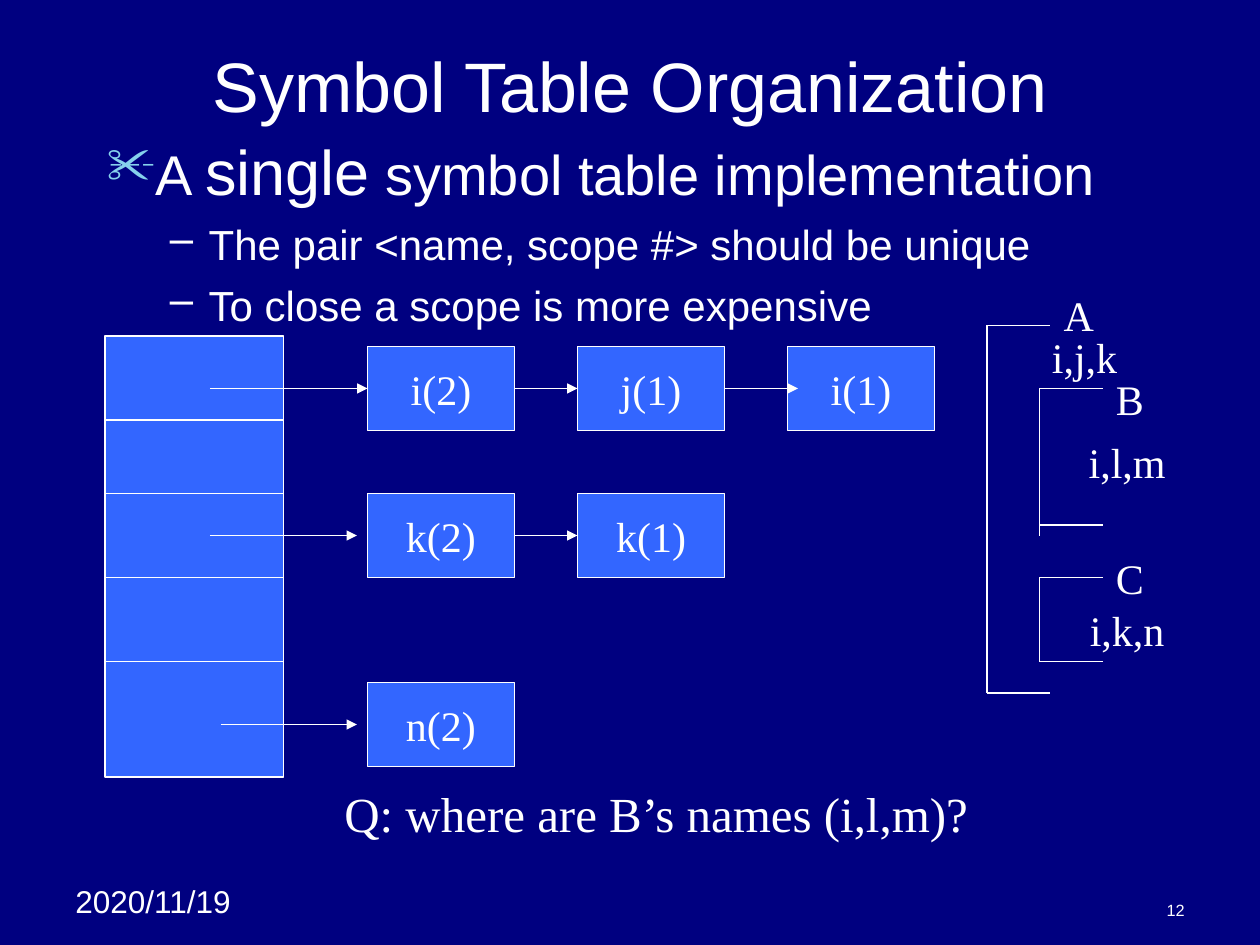
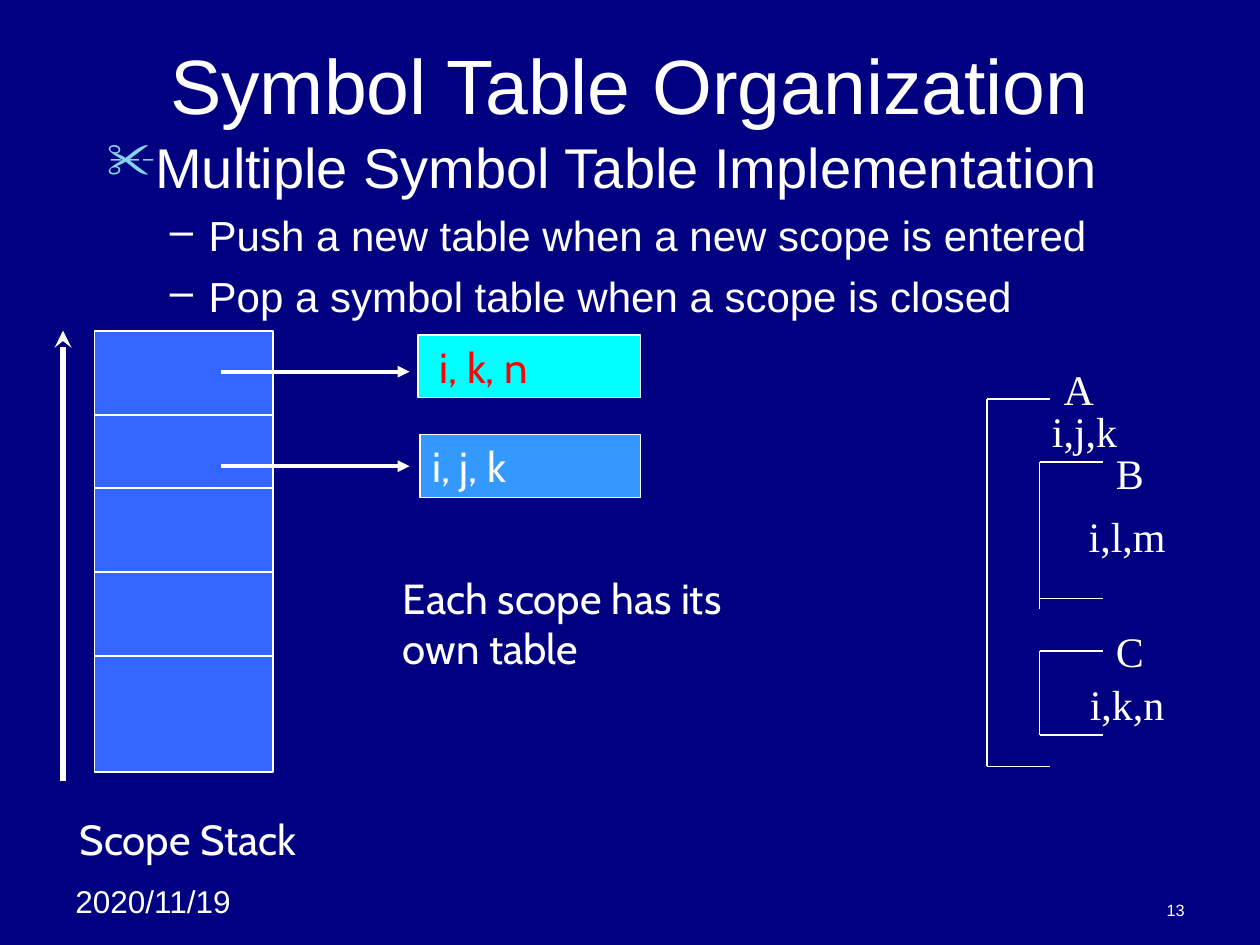
from dataclasses import dataclass
from typing import NamedTuple, Optional

import lxml.etree
import pptx
import pptx.dml.color
import pptx.enum.shapes
import pptx.enum.text
import pptx.oxml.ns
import pptx.shapes.autoshape
import pptx.slide
import pptx.util

SCALE = 7620
ALIGN = pptx.enum.text.PP_ALIGN
ANCHOR = pptx.enum.text.MSO_ANCHOR
Shape = pptx.shapes.autoshape.Shape
Slide = pptx.slide.Slide


@dataclass(frozen=True)
class Theme:
    back: str = "000080"
    ink: str = "FFFFFF"
    cell: str = "3366FF"
    aqua: str = "00FFFF"
    sky: str = "3399FF"
    red: str = "FF0000"
    mark: str = "86D1EC"
    sans: str = "Arial"
    serif: str = "Times New Roman"
    hand: str = "Cabin"
    head: int = 32
    large: int = 36
    ask: int = 28
    base: int = 24
    date: int = 18
    page: float = 9.3
    thin: float = 0.75
    line: float = 1
    bold: float = 2.25
    thick: float = 3.25


THEME = Theme()


class Rect(NamedTuple):
    left: int
    top: int
    width: int
    height: int


class Point(NamedTuple):
    x: int
    y: int


class Label(NamedTuple):
    text: str
    place: Rect


class Run(NamedTuple):
    text: str
    size: int


class Bullet(NamedTuple):
    mark: str
    color: str
    percent: int
    left: int
    hang: int
    before: int


TOP = Bullet("✂", THEME.mark, 90, 45, 45, 0)
SUB = Bullet("–", THEME.ink, 100, 97, 37, 6)

LABELS = (
    Label("A", Rect(1001, -40, 53, 60)),
    Label("B", Rect(1051, 40, 50, 60)),
    Label("C", Rect(1051, 210, 50, 60)),
    Label("i,j,k", Rect(990, 0, 86, 60)),
    Label("i,l,m", Rect(1025, 100, 97, 60)),
    Label("i,k,n", Rect(1026, 260, 95, 60)),
)


def px(count: int) -> int:
    return pptx.util.Emu(count * SCALE)


def shade(color: str) -> pptx.dml.color.RGBColor:
    return pptx.dml.color.RGBColor.from_string(color)


def child(parent, tag: str, **attrs: str):
    return lxml.etree.SubElement(parent, pptx.oxml.ns.qn(tag), **attrs)


def write(para, text: str, *, size: float = THEME.base, font: str = THEME.serif,
          color: str = THEME.ink, align=ALIGN.LEFT) -> None:
    para.alignment = align
    run = para.add_run()
    run.text = text
    run.font.size = pptx.util.Pt(size)
    run.font.name = font
    run.font.color.rgb = shade(color)


def fill_text(shape: Shape, text: str, *, anchor=ANCHOR.TOP,
              wrap: bool = True, **style) -> None:
    frame = shape.text_frame
    frame.word_wrap = wrap
    frame.vertical_anchor = anchor
    for index, line in enumerate(text.split("\n")):
        para = frame.add_paragraph() if index else frame.paragraphs[0]
        write(para, line, **style)


def add_text(slide: Slide, text: str, place: Rect, **style) -> None:
    fill_text(slide.shapes.add_textbox(*map(px, place)), text, **style)


def add_box(slide: Slide, place: Rect, text: str = "", *,
            fill: str = THEME.cell, width: float = THEME.line, **style) -> Shape:
    kind = pptx.enum.shapes.MSO_SHAPE.RECTANGLE
    shape = slide.shapes.add_shape(kind, *map(px, place))
    shape.shadow.inherit = False
    shape.fill.solid()
    shape.fill.fore_color.rgb = shade(fill)
    shape.line.color.rgb = shade(THEME.ink)
    shape.line.width = pptx.util.Pt(width)
    if text:
        fill_text(shape, text, **style)
    return shape


def add_line(slide: Slide, start: Point, end: Point, *,
             width: float = THEME.line, head: str = "", tail: str = "",
             source: Optional[Shape] = None, target: Optional[Shape] = None) -> None:
    kind = pptx.enum.shapes.MSO_CONNECTOR.STRAIGHT
    line = slide.shapes.add_connector(kind, *map(px, start + end))
    if source is not None:
        line.begin_connect(source, 3)
    if target is not None:
        line.end_connect(target, 1)
    line.line.color.rgb = shade(THEME.ink)
    line.line.width = pptx.util.Pt(width)
    stroke = line.line._get_or_add_ln()
    for tag, form in (("a:headEnd", head), ("a:tailEnd", tail)):
        if form:
            child(stroke, tag, type=form)
    child(line._element.spPr, "a:effectLst")


def add_point(para, bullet: Bullet, runs: list[Run]) -> None:
    props = para._p.get_or_add_pPr()
    props.set("marL", str(px(bullet.left)))
    props.set("indent", str(-px(bullet.hang)))
    child(child(props, "a:buClr"), "a:srgbClr", val=bullet.color)
    child(props, "a:buSzPct", val=str(bullet.percent * 1000))
    child(props, "a:buChar", char=bullet.mark)
    para.space_before = pptx.util.Pt(bullet.before)
    for run in runs:
        write(para, run.text, size=run.size, font=THEME.sans)


def add_points(slide: Slide, lead: list[Run], subs: list[str]) -> None:
    frame = slide.shapes.add_textbox(*map(px, Rect(90, 120, 1020, 690))).text_frame
    frame.word_wrap = True
    add_point(frame.paragraphs[0], TOP, lead)
    for text in subs:
        para = frame.add_paragraph()
        para.level = 1
        add_point(para, SUB, [Run(text, THEME.base)])


def add_scopes(slide: Slide, top: int) -> None:
    for x, first, last, arms in ((940, 0, 350, (0, 350)),
                                 (990, 60, 200, (60, 190)),
                                 (990, 240, 320, (240, 320))):
        add_line(slide, Point(x, top + first), Point(x, top + last))
        for arm in arms:
            add_line(slide, Point(x, top + arm), Point(x + 60, top + arm))
    for text, place in LABELS:
        add_text(slide, text, place._replace(top=top + place.top),
                 align=ALIGN.CENTER, wrap=False)


def add_stack(slide: Slide, left: int, top: int) -> None:
    add_box(slide, Rect(left, top, 170, 420))
    for step in (80, 150, 230, 310):
        add_line(slide, Point(left, top + step), Point(left + 170, top + step))


def start_slide(deck, page: int, size: int) -> Slide:
    slide = deck.slides.add_slide(deck.slide_layouts[6])
    slide.background.fill.solid()
    slide.background.fill.fore_color.rgb = shade(THEME.back)
    add_text(slide, "2020/11/19", Rect(60, 834, 190, 48),
             size=THEME.date, font=THEME.sans)
    add_text(slide, str(page), Rect(860, 850, 280, 32), size=THEME.page,
             font=THEME.sans, align=ALIGN.RIGHT, anchor=ANCHOR.BOTTOM)
    add_text(slide, "Symbol Table Organization", Rect(90, 30, 1020, 100), size=size,
             font=THEME.sans, align=ALIGN.CENTER, anchor=ANCHOR.MIDDLE)
    return slide


def add_chain(slide: Slide, top: int, names: list[str], start: int, joined: bool) -> None:
    nodes = [add_box(slide, Rect(350 + 200 * index, top, 140, 80), name, wrap=False,
                     align=ALIGN.CENTER, anchor=ANCHOR.MIDDLE)
             for index, name in enumerate(names)]
    mid = top + 40
    add_line(slide, Point(start, mid), Point(340, mid), tail="triangle",
             target=nodes[0] if joined else None)
    for index, node in enumerate(nodes[1:]):
        over = index == 1
        left = 490 + 200 * index
        add_line(slide, Point(left, mid), Point(left + (70 if over else 60), mid),
                 tail="triangle", source=nodes[index], target=None if over else node)


def draw_single(deck) -> None:
    slide = start_slide(deck, 12, 40)
    add_scopes(slide, 310)
    add_stack(slide, 100, 320)
    add_chain(slide, 330, ["i(2)", "j(1)", "i(1)"], 200, True)
    add_chain(slide, 470, ["k(2)", "k(1)"], 200, False)
    add_chain(slide, 650, ["n(2)"], 210, False)
    add_text(slide, "Q: where are B’s names (i,l,m)?", Rect(290, 740, 670, 68),
             size=THEME.ask, align=ALIGN.CENTER)
    add_points(slide, [Run("A ", THEME.head), Run("single", THEME.large),
                       Run(" symbol table implementation", THEME.head)],
               ["The pair <name, scope #> should be unique",
                "To close a scope is more expensive"])


def draw_many(deck) -> None:
    slide = start_slide(deck, 13, 44)
    add_scopes(slide, 380)
    add_stack(slide, 90, 315)
    add_points(slide, [Run("Multiple Symbol Table Implementation", THEME.head)],
               ["Push a new table when a new scope is entered",
                "Pop a symbol table when a scope is closed"])
    add_text(slide, "Scope Stack", Rect(64, 769, 246, 60), font=THEME.hand, wrap=False)
    add_line(slide, Point(60, 315), Point(60, 744), width=THEME.thick, head="stealth")
    for text, place, fill, color, y in (
            (" i, k, n", Rect(398, 319, 212, 60), THEME.aqua, THEME.red, 354),
            ("i, j, k", Rect(400, 414, 210, 60), THEME.sky, THEME.ink, 444)):
        add_box(slide, place, text, fill=fill, width=THEME.thin,
                font=THEME.hand, color=color)
        add_line(slide, Point(210, y), Point(390, y), width=THEME.bold, tail="triangle")
    add_text(slide, "Each scope has its\nown table", Rect(372, 539, 374, 108),
             font=THEME.hand, wrap=False)


def main() -> None:
    deck = pptx.Presentation()
    deck.slide_width, deck.slide_height = px(1200), px(900)
    draw_single(deck)
    draw_many(deck)
    deck.save("out.pptx")


if __name__ == "__main__":
    main()
